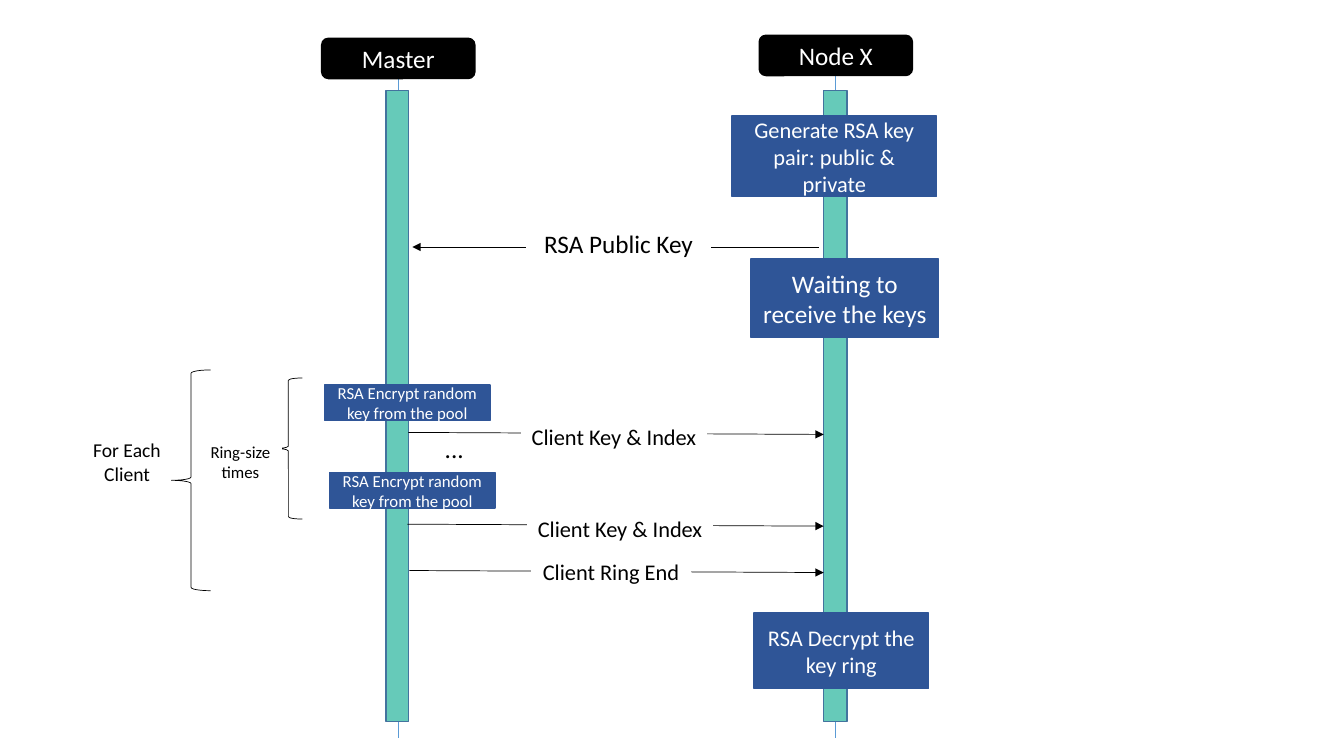
from dataclasses import dataclass

from lxml import etree
from pptx import Presentation
from pptx import util as u
from pptx.dml.color import RGBColor
from pptx.enum import shapes, text
from pptx.oxml.ns import qn

EMU_PER_PX = 9144


@dataclass(frozen=True)
class Theme:
    font: str = "Calibri"
    black: str = "000000"
    white: str = "FFFFFF"
    task: str = "2F5597"
    bar: str = "66CAB9"
    bar_edge: str = "43739E"
    lifeline: str = "5B9BD5"
    large: int = 18
    medium: int = 16
    small: int = 14
    tiny: int = 12
    thin: float = 0.5
    edge: float = 1


THEME = Theme()


def px(count):
    return u.Emu(count * EMU_PER_PX)


def color(value):
    return RGBColor.from_string(value)


def write(box, words, size, ink, inset=10):
    frame = box.text_frame
    frame.word_wrap = True
    frame.vertical_anchor = text.MSO_ANCHOR.MIDDLE
    frame.margin_left = frame.margin_right = px(inset)
    para = frame.paragraphs[0]
    para.alignment = text.PP_ALIGN.CENTER
    span = para.add_run()
    span.text = words
    span.font.name = THEME.font
    span.font.size = u.Pt(size)
    span.font.color.rgb = color(ink)


def add_shape(page, kind, place, fill, line, width=THEME.edge):
    box = page.shapes.add_shape(kind, *map(px, place))
    box.shadow.inherit = False
    if fill:
        box.fill.solid()
        box.fill.fore_color.rgb = color(fill)
    else:
        box.fill.background()
    box.line.color.rgb = color(line)
    box.line.width = u.Pt(width)
    return box


def add_line(page, start, end, line, arrow=False):
    link = page.shapes.add_connector(
        shapes.MSO_CONNECTOR.STRAIGHT, *map(px, (*start, *end)))
    link.line.color.rgb = color(line)
    link.line.width = u.Pt(THEME.thin)
    if arrow:
        outline = link.line._get_or_add_ln()
        etree.SubElement(outline, qn("a:tailEnd"), type="triangle")
    etree.SubElement(link._element.spPr, qn("a:effectLst"))
    return link


def add_label(page, words, place, size):
    box = add_shape(page, shapes.MSO_SHAPE.RECTANGLE, place,
                    THEME.white, THEME.white)
    write(box, words, size, THEME.black, inset=8)


def add_task(page, words, place, size):
    box = add_shape(page, shapes.MSO_SHAPE.RECTANGLE, place,
                    THEME.task, THEME.task)
    write(box, words, size, THEME.white)


def add_brace(page, place):
    add_shape(page, shapes.MSO_SHAPE.LEFT_BRACE, place,
              None, THEME.black, THEME.thin)


def add_participant(page, name, center, top, bar_left, bar_width):
    width, height = 152, 40
    lifeline = add_line(page, (center, top + height), (center, 732),
                        THEME.lifeline)
    add_shape(page, shapes.MSO_SHAPE.RECTANGLE,
              (bar_left, 90, bar_width, 626), THEME.bar, THEME.bar_edge)
    header = add_shape(page, shapes.MSO_SHAPE.ROUNDED_RECTANGLE,
                       (center - width // 2, top, width, height),
                       THEME.black, THEME.black)
    write(header, name, THEME.large, THEME.white)
    lifeline.begin_connect(header, 2)


def add_message(page, words, start, end, place, size):
    add_line(page, start, end, THEME.black, arrow=True)
    add_label(page, words, place, size)


def main():
    deck = Presentation()
    deck.slide_width, deck.slide_height = px(1333), px(750)
    page = deck.slides.add_slide(deck.slide_layouts[6])

    add_participant(page, "Master", 395, 38, 383, 22)
    add_participant(page, "Node X", 829, 35, 817, 23)

    add_message(page, "RSA Public Key", (812, 245), (409, 245),
                (522, 227, 183, 30), THEME.large)
    for start, end, place, words in (
        ((405, 429), (817, 431), (517, 416, 184, 34), "Client Key & Index"),
        ((404, 520), (817, 522), (523, 507, 184, 34), "Client Key & Index"),
        ((406, 566), (817, 568), (527, 557, 158, 21), "Client Ring End"),
    ):
        add_message(page, words, start, end, place, THEME.medium)

    add_brace(page, (272, 375, 28, 140))
    add_label(page, "...", (422, 437, 57, 16), THEME.large)
    add_label(page, "For Each Client", (82, 432, 88, 52), THEME.small)
    add_label(page, "Ring-size times", (198, 430, 81, 56), THEME.tiny)
    add_brace(page, (170, 367, 39, 219))

    for left, top in ((322, 382), (327, 469)):
        add_task(page, "RSA Encrypt random key from the pool",
                 (left, top, 164, 35), THEME.tiny)
    add_task(page, "Generate RSA key pair: public & private",
             (726, 115, 203, 80), THEME.medium)
    add_task(page, "Waiting to receive the keys",
             (745, 257, 186, 78), THEME.large)
    add_task(page, "RSA Decrypt the key ring",
             (748, 608, 173, 75), THEME.medium)

    deck.save("out.pptx")


if __name__ == "__main__":
    main()
